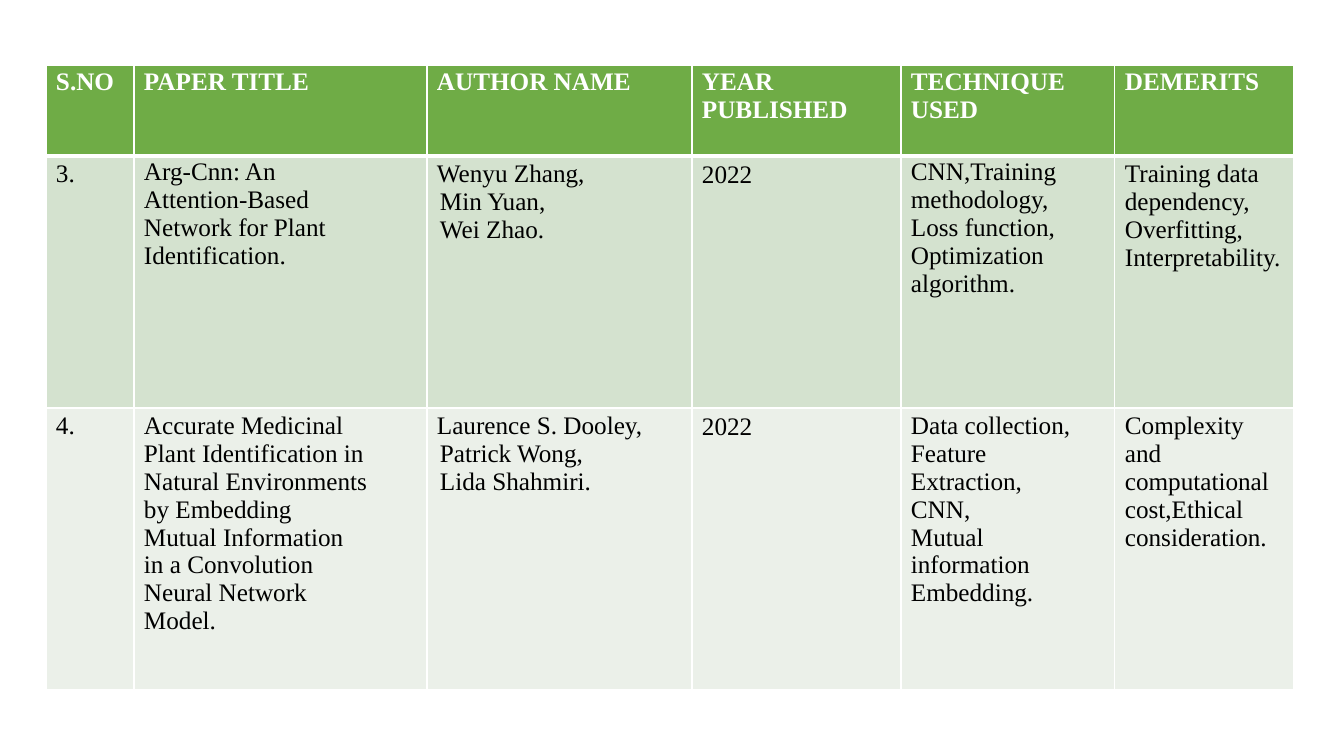
from pptx import Presentation
from pptx.dml.color import RGBColor
from pptx.oxml import parse_xml
from pptx.oxml.ns import nsdecls
from pptx.util import Pt

PX = 914400 / 100.8
FONT = "Times New Roman"
WHITE = RGBColor(0xFF, 0xFF, 0xFF)
BLACK = RGBColor(0x00, 0x00, 0x00)
ROW_FILLS = [
    RGBColor(0x6F, 0xAC, 0x46),
    RGBColor(0xD4, 0xE2, 0xCF),
    RGBColor(0xEB, 0xF0, 0xE9),
]
COLUMN_WIDTHS = [88, 293, 265, 209, 214, 179]
ROW_HEIGHTS = [91, 252, 282]
TEXT_TOPS = [[3, 3, 3, 3, 3, 3], [4, 2, 4, 5, 2, 4], [4, 4, 4, 5, 4, 4]]
TEXT_RIGHTS = [0, 0, 0, 0, 30, 10]
TEXT_INDENT = 10
CO_AUTHOR_INDENT = 13
AUTHOR_COLUMN = 2

PAPERS = [
    ["S.NO", "PAPER TITLE", "AUTHOR NAME", "YEAR PUBLISHED", "TECHNIQUE USED", "DEMERITS"],
    [
        "3.",
        "Arg-Cnn: An\nAttention-Based\nNetwork for Plant\nIdentification.",
        "Wenyu Zhang,\nMin Yuan,\nWei Zhao.",
        "2022",
        "CNN,Training methodology,\nLoss function,\nOptimization algorithm.",
        "Training data dependency,\nOverfitting,\nInterpretability.",
    ],
    [
        "4.",
        "Accurate Medicinal\nPlant Identification in\nNatural Environments\nby Embedding\n"
        "Mutual Information\nin a Convolution\nNeural Network\nModel.",
        "Laurence S. Dooley,\nPatrick Wong,\nLida Shahmiri.",
        "2022",
        "Data collection,\nFeature Extraction,\nCNN,\nMutual information Embedding.",
        "Complexity and computational cost,Ethical consideration.",
    ],
]


def px(length):
    return round(length * PX)


def add_borders(cell, top, bottom):
    properties = cell._tc.get_or_add_tcPr()
    for side, points in (("L", 1), ("R", 1), ("T", top), ("B", bottom)):
        properties.append(parse_xml(
            f'<a:ln{side} {nsdecls("a")} w="{Pt(points)}"><a:solidFill>'
            f'<a:srgbClr val="{WHITE}"/></a:solidFill></a:ln{side}>'
        ))


def format_cell(cell, text, row, column):
    header = row == 0
    add_borders(cell, 3 if row == 1 else 1, 3 if header else 1)
    cell.fill.solid()
    cell.fill.fore_color.rgb = ROW_FILLS[row]
    cell.margin_left = cell.margin_bottom = 0
    cell.margin_top = px(TEXT_TOPS[row][column])
    cell.margin_right = px(TEXT_RIGHTS[column])
    cell.text_frame.text = text
    for number, para in enumerate(cell.text_frame.paragraphs):
        co_author = column == AUTHOR_COLUMN and number > 0
        indent = CO_AUTHOR_INDENT if co_author else TEXT_INDENT
        para._p.get_or_add_pPr().set("marL", str(px(indent)))
        for span in para.runs:
            span.font.name = FONT
            span.font.size = Pt(18)
            span.font.bold = header
            span.font.color.rgb = WHITE if header else BLACK


def add_paper_table(page, left, top):
    frame = page.shapes.add_table(
        len(ROW_HEIGHTS), len(COLUMN_WIDTHS),
        px(left), px(top), px(sum(COLUMN_WIDTHS)), px(sum(ROW_HEIGHTS)),
    )
    table = frame.table
    for column, width in zip(table.columns, COLUMN_WIDTHS):
        column.width = px(width)
    for row, height in zip(table.rows, ROW_HEIGHTS):
        row.height = px(height)
    for row, texts in enumerate(PAPERS):
        for column, text in enumerate(texts):
            format_cell(table.cell(row, column), text, row, column)


def main():
    deck = Presentation()
    deck.slide_width = px(1344)
    deck.slide_height = px(756)
    page = deck.slides.add_slide(deck.slide_layouts[6])
    add_paper_table(page, 46, 65)
    deck.save("out.pptx")


if __name__ == "__main__":
    main()
